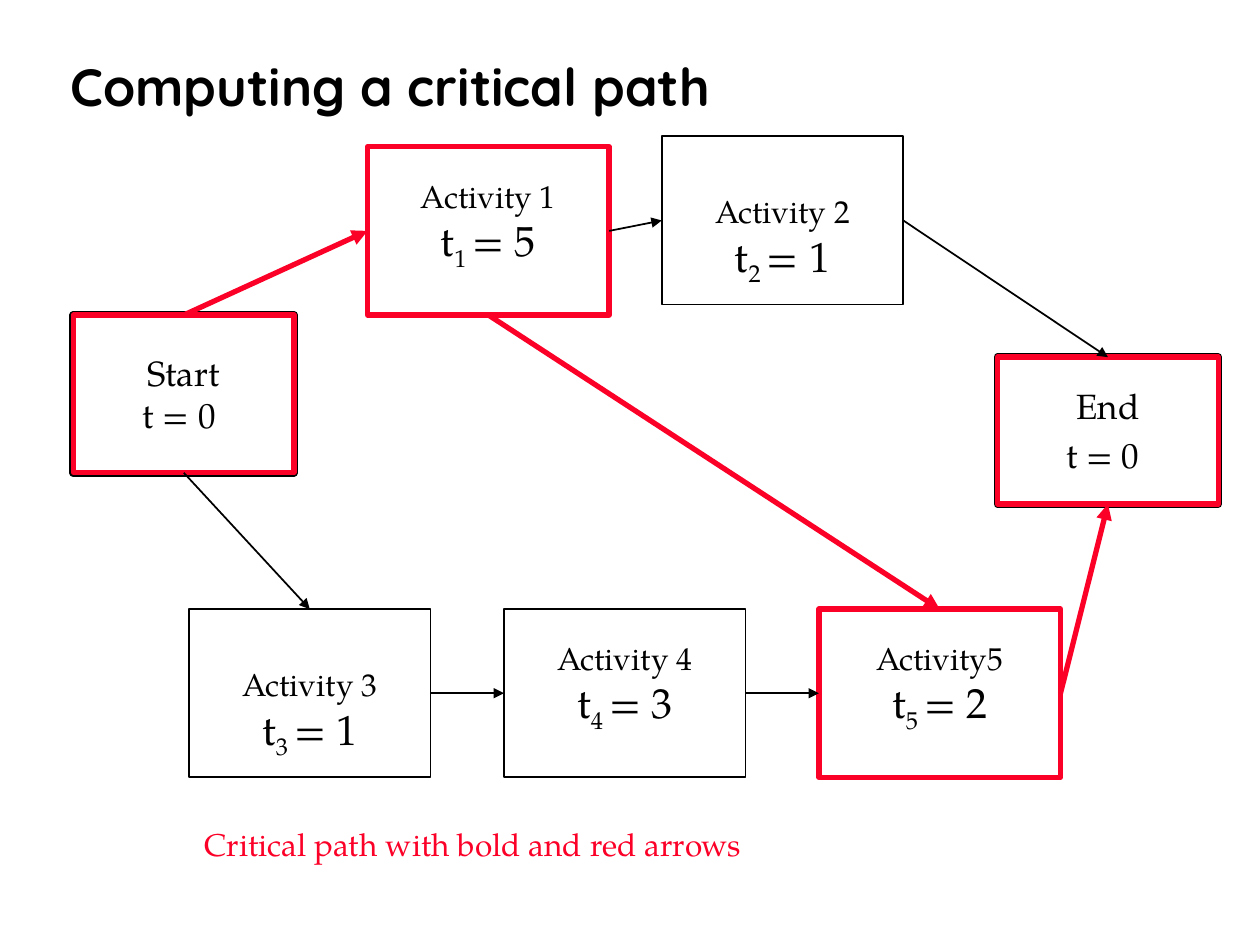
from lxml.etree import SubElement
from pptx import Presentation
from pptx.dml.color import RGBColor
from pptx.enum.shapes import MSO_CONNECTOR, MSO_SHAPE
from pptx.enum.text import MSO_ANCHOR, PP_ALIGN
from pptx.oxml.ns import qn
from pptx.util import Cm, Pt

BLACK, WHITE, RED = "000000", "FFFFFF", "FC0128"
SERIF = "TeX Gyre Pagella"
TOP, LEFT, BOTTOM, RIGHT = range(4)
ACTIVITY_SIZE = (4.87, 3.39)
LOW, HIGH = (0.92, 0.13), (0.13, 0.39)


def rgb(color):
    """Turn a hex string into a colour."""
    return RGBColor.from_string(color)


def set_font(font, size, color=BLACK, name=SERIF, bold=False):
    """Give a font its size, colour, name and weight."""
    font.size, font.name, font.bold = Pt(size), name, bold
    font.color.rgb = rgb(color)


def add_box(slide, left, top, width, height, color, weight):
    """Add a white rectangle with a coloured outline."""
    box = slide.shapes.add_shape(
        MSO_SHAPE.RECTANGLE, Cm(left), Cm(top), Cm(width), Cm(height))
    box.shadow.inherit = False
    box.fill.solid()
    box.fill.fore_color.rgb = rgb(WHITE)
    box.line.color.rgb = rgb(color)
    box.line.width = Pt(weight)
    box.text_frame.word_wrap = False
    box.text_frame.vertical_anchor = MSO_ANCHOR.MIDDLE
    return box


def add_lines(box, name, size, time_size):
    """Write the name in a box and return the empty line for its time."""
    heading = box.text_frame.paragraphs[0]
    heading.text = name
    time = box.text_frame.add_paragraph()
    for line, points in ((heading, size), (time, time_size)):
        line.alignment = PP_ALIGN.CENTER
        set_font(line.font, points)
    return time


def add_activity(slide, left, top, name, number, duration, margins, critical=False):
    """Add an activity box with its indexed duration."""
    color, weight = (RED, 3) if critical else (BLACK, 1)
    box = add_box(slide, left, top, *ACTIVITY_SIZE, color, weight)
    box.text_frame.margin_top, box.text_frame.margin_bottom = map(Cm, margins)
    time = add_lines(box, name, 18, 24)
    time.add_run().text = "t"
    index = time.add_run()
    index.text = f"{number} "
    index.font._element.set("baseline", "-25000")
    time.add_run().text = f"= {duration}"
    return box


def add_terminal(slide, left, top, width, height, name, space_size):
    """Add a red start or end box with a thin black rim."""
    add_box(slide, left, top, width, height, BLACK, 4.5)
    box = add_box(slide, left, top, width, height, RED, 3)
    time = add_lines(box, name, 20, 20)
    time.add_run().text = "t = 0"
    space = time.add_run()
    space.text = " "
    space.font.size = Pt(space_size)
    return box


def add_arrow(slide, source, source_side, target, target_side, critical=False):
    """Join two boxes with an arrow, bold and red on the critical path."""
    arrow = slide.shapes.add_connector(MSO_CONNECTOR.STRAIGHT, 0, 0, 0, 0)
    arrow.begin_connect(source, source_side)
    arrow.end_connect(target, target_side)
    arrow.line.color.rgb = rgb(RED if critical else BLACK)
    arrow.line.width = Pt(3 if critical else 1)
    SubElement(arrow.line._get_or_add_ln(), qn("a:tailEnd"), type="triangle")
    SubElement(arrow._element.spPr, qn("a:effectLst"))


def add_label(slide, left, top, width, height, text, wrap=False, **font):
    """Add a text box with one line of text."""
    label = slide.shapes.add_textbox(Cm(left), Cm(top), Cm(width), Cm(height))
    label.text_frame.word_wrap = wrap
    label.text_frame.vertical_anchor = MSO_ANCHOR.MIDDLE
    line = label.text_frame.paragraphs[0]
    line.text = text
    set_font(line.font, **font)
    return line


def main():
    """Build the critical path slide."""
    deck = Presentation()
    deck.slide_width, deck.slide_height = Cm(25.4), Cm(19.05)
    slide = deck.slides.add_slide(deck.slide_layouts[6])

    title = add_label(slide, 1.17, 0.61, 22.66, 2.39, "Computing a critical path",
                      wrap=True, size=30, name="Quicksand", bold=True)
    title.line_spacing = 0.9

    start = add_terminal(slide, 1.48, 6.35, 4.45, 3.18, "Start", 20)
    end = add_terminal(slide, 20.11, 7.2, 4.45, 2.96, "End", 24)
    first = add_activity(slide, 7.41, 2.96, "Activity 1", 1, 5, HIGH, critical=True)
    second = add_activity(slide, 13.34, 2.75, "Activity 2", 2, 1, LOW)
    lower_row = (
        ("Activity 3", 3, 1, LOW, False),
        ("Activity 4", 4, 3, HIGH, False),
        ("Activity5", 5, 2, HIGH, True),
    )
    third, fourth, fifth = [
        add_activity(slide, 3.81 + 6.35 * column, 12.28, *activity)
        for column, activity in enumerate(lower_row)]

    add_arrow(slide, first, RIGHT, second, LEFT)
    add_arrow(slide, second, RIGHT, end, TOP)
    add_arrow(slide, start, BOTTOM, third, TOP)
    add_arrow(slide, third, RIGHT, fourth, LEFT)
    add_arrow(slide, fourth, RIGHT, fifth, LEFT)
    add_arrow(slide, start, TOP, first, LEFT, critical=True)
    add_arrow(slide, first, BOTTOM, fifth, TOP, critical=True)
    add_arrow(slide, fifth, RIGHT, end, BOTTOM, critical=True)

    add_label(slide, 3.87, 16.51, 11.33, 1.02,
              "Critical path with bold and red arrows", size=18, color=RED)
    deck.save("out.pptx")


if __name__ == "__main__":
    main()
